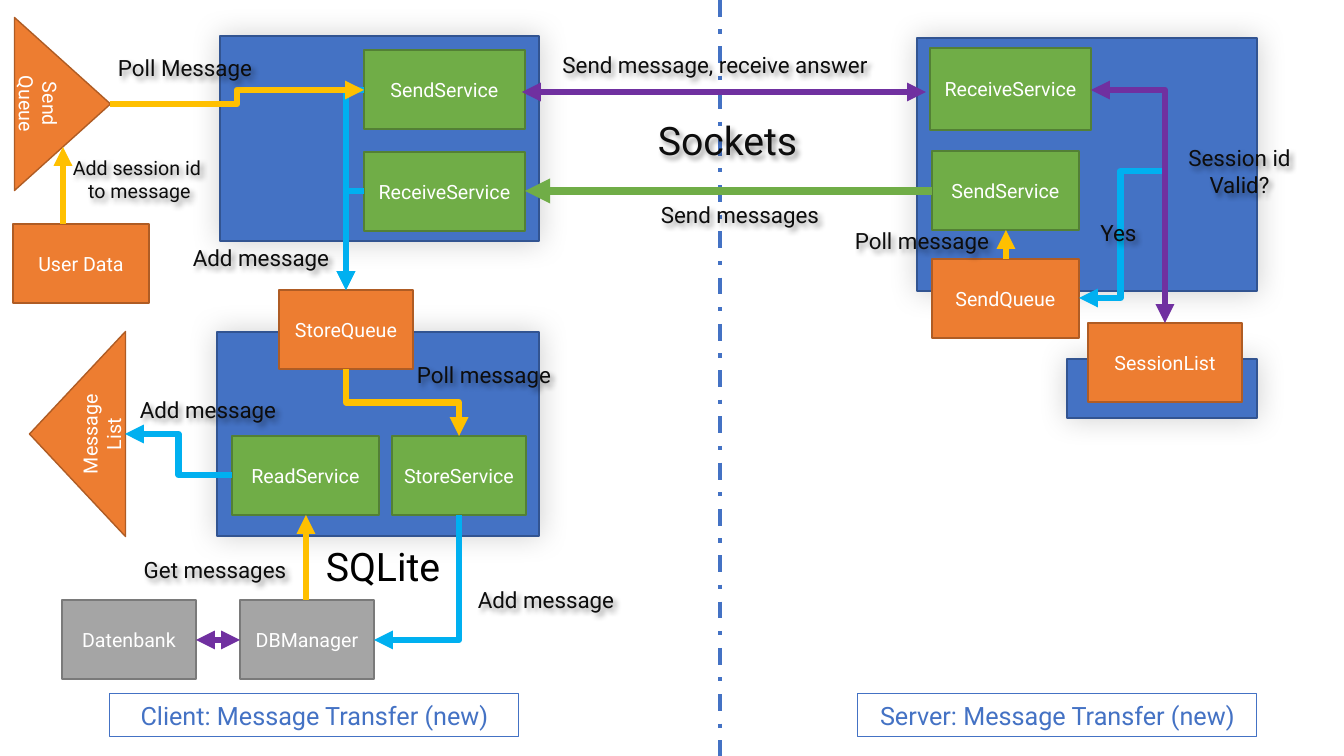
"""Build the message transfer diagram with its client and server sides."""
from lxml import etree
from pptx import Presentation
from pptx import util as u
from pptx.dml.color import RGBColor
from pptx.enum import dml, shapes, text
from pptx.oxml import parse_xml
from pptx.oxml.ns import nsdecls, qn

SCALE = 914400 / 100.8
BLUE, GREEN, ORANGE, GREY = "4472C4", "70AD47", "ED7D31", "A5A5A5"
CYAN, YELLOW, PURPLE = "00B0F0", "FFC000", "7030A0"
WHITE, BLACK, INK = "FFFFFF", "000000", "0D0D0D"
EDGES = {BLUE: "325491", GREEN: "538035", ORANGE: "AF5C24", GREY: "7A7A7A"}
RECT, TRIANGLE = shapes.MSO_SHAPE.RECTANGLE, shapes.MSO_SHAPE.ISOSCELES_TRIANGLE
hue = RGBColor.from_string


def px(*lengths):
    """Turn pixels into EMU."""
    return [u.Emu(round(length * SCALE)) for length in lengths]


def finish(shape, words, size, colour, blur=0, alpha=0, distance=0):
    """Write centred text and set the shadow."""
    frame = shape.text_frame
    for name, value in {"word_wrap": True, "vertical_anchor": text.MSO_ANCHOR.MIDDLE}.items():
        setattr(frame, name, value)
    for index, line in enumerate(words.split("\n")):
        para = frame.add_paragraph() if index else frame.paragraphs[0]
        para.alignment = text.PP_ALIGN.CENTER
        if line:
            span = para.add_run()
            span.text = line
            span.font.color.rgb = hue(colour)
            for name, value in {"name": "Roboto", "size": u.Pt(size)}.items():
                setattr(span.font, name, value)
    shape.shadow.inherit = False
    if blur:
        shape._element.spPr.find(qn("a:effectLst")).append(parse_xml(
            f'<a:outerShdw {nsdecls("a")} blurRad="{u.Pt(blur)}" dist="{u.Pt(distance)}" '
            f'dir="2700000" algn="ctr" rotWithShape="0"><a:srgbClr val="{BLACK}">'
            f'<a:alpha val="{alpha * 1000}"/></a:srgbClr></a:outerShdw>'))


deck = Presentation()
deck.slide_width, deck.slide_height = px(1344, 756)
page = deck.slides.add_slide(deck.slide_layouts[6])

divider = page.shapes.add_connector(shapes.MSO_CONNECTOR.STRAIGHT, *px(720, 0, 720, 756))
divider.line.color.rgb = hue(BLUE)
divider.line.width = u.Pt(3)
divider.line.dash_style = dml.MSO_LINE.DASH_DOT
etree.SubElement(divider._element.spPr, qn("a:effectLst"))

panels = [(917, 38, 340, 253), (220, 36, 319, 205), (217, 332, 322, 204), (1067, 359, 190, 59)]
for bounds in panels:
    panel = page.shapes.add_shape(RECT, *px(*bounds))
    panel.fill.solid()
    panel.fill.fore_color.rgb = hue(BLUE)
    panel.line.color.rgb = hue(EDGES[BLUE])
    panel.line.width = u.Pt(1)
    finish(panel, "", 14, WHITE, blur=21, alpha=18)

nodes = [
    ("SendService", GREEN, RECT, 0, (364, 50, 161, 79)),
    ("ReceiveService", GREEN, RECT, 0, (364, 152, 161, 79)),
    ("ReceiveService", GREEN, RECT, 0, (930, 48, 161, 82)),
    ("SendService", GREEN, RECT, 0, (932, 151, 147, 79)),
    ("ReadService", GREEN, RECT, 0, (232, 436, 147, 79)),
    ("StoreService", GREEN, RECT, 0, (392, 436, 134, 79)),
    ("StoreQueue", ORANGE, RECT, 0, (279, 290, 134, 79)),
    ("SendQueue", ORANGE, RECT, 0, (932, 259, 147, 79)),
    ("SessionList", ORANGE, RECT, 0, (1088, 323, 154, 79)),
    ("User Data", ORANGE, RECT, 0, (13, 224, 136, 79)),
    ("Datenbank", GREY, RECT, 0, (62, 600, 134, 79)),
    ("DBManager", GREY, RECT, 0, (240, 600, 134, 79)),
    ("Message List", ORANGE, TRIANGLE, 270, (-25, 386, 205, 96)),
    ("Send\nQueue", ORANGE, TRIANGLE, 90, (-24, 56, 173, 96)),
]
for words, fill, kind, turn, bounds in nodes:
    node = page.shapes.add_shape(kind, *px(*bounds))
    node.rotation = turn
    node.fill.solid()
    node.fill.fore_color.rgb = hue(fill)
    node.line.color.rgb = hue(EDGES[fill])
    node.line.width = u.Pt(1)
    finish(node, words, 14, WHITE)

captions = [("Client: Message Transfer (new)", 110, 409), ("Server: Message Transfer (new)", 858, 399)]
for words, left, width in captions:
    caption = page.shapes.add_shape(RECT, *px(left, 694, width, 43))
    caption.fill.background()
    caption.line.color.rgb = hue(BLUE)
    caption.line.width = u.Pt(0.75)
    finish(caption, words, 18, BLUE)

HEAD, TAIL, BOTH = ["headEnd"], ["tailEnd"], ["headEnd", "tailEnd"]
arrows = [
    ("line", GREEN, 6, TAIL, 0, (932, 191, 525, 191)),
    ("bentConnector2", CYAN, 4.5, TAIL, 0, (364, 90, 346, 290)),
    ("bentConnector2", CYAN, 4.5, TAIL, 0, (364, 191, 346, 290)),
    ("bentConnector2", CYAN, 4.5, HEAD, 0, (374, 640, 459, 515)),
    ("bentConnector3", YELLOW, 4.5, TAIL, 0, (110, 104, 364, 90)),
    ("bentConnector3", CYAN, 4.5, TAIL, 0, (232, 475, 125, 434)),
    ("bentConnector3", YELLOW, 4.5, TAIL, 270, (436, 346, 369, 459)),
    ("line", YELLOW, 4.5, TAIL, 0, (306, 600, 306, 515)),
    ("line", YELLOW, 4.5, TAIL, 0, (1006, 259, 1006, 230)),
    ("line", YELLOW, 4.5, TAIL, 0, (63, 224, 63, 147)),
    ("line", PURPLE, 4.5, BOTH, 0, (196, 640, 240, 640)),
    ("bentConnector2", PURPLE, 4.5, BOTH, 0, (1091, 90, 1165, 323)),
    ("bentConnector3", CYAN, 4.5, TAIL, 0, (1162, 171, 1079, 298)),
    ("line", PURPLE, 4.5, BOTH, 0, (522, 92, 926, 92)),
]
for preset, colour, width, ends, turn, points in arrows:
    arrow = page.shapes.add_connector(shapes.MSO_CONNECTOR.ELBOW, *px(*points))
    arrow.line.color.rgb = hue(colour)
    arrow.line.width = u.Pt(width)
    outline = arrow.line._get_or_add_ln()
    for end in ends:
        etree.SubElement(outline, qn(f"a:{end}"), type="triangle")
    properties = arrow._element.spPr
    properties.find(qn("a:prstGeom")).set("prst", preset)
    properties.find(qn("a:xfrm")).set("rot", str(turn * 60000))
    etree.SubElement(properties, qn("a:effectLst"))

labels = [
    ("Sockets", 28, INK, (622, 111, 211, 58)),
    ("SQLite", 28, BLACK, (282, 537, 202, 58)),
    ("Poll Message", 16, INK, (15, 49, 340, 37)),
    ("Poll message", 16, INK, (314, 356, 340, 37)),
    ("Poll message", 16, INK, (752, 222, 340, 37)),
    ("Get messages", 16, INK, (45, 551, 340, 37)),
    ("Add message", 16, INK, (376, 581, 340, 37)),
    ("Add message", 16, INK, (91, 239, 340, 37)),
    ("Add message", 16, INK, (38, 391, 340, 37)),
    ("Send messages", 16, INK, (570, 196, 340, 37)),
    ("Send message, receive answer", 16, INK, (545, 46, 340, 37)),
    ("Add session id\n to message", 14, INK, (-33, 150, 340, 58)),
    ("Session id\nValid?", 16, INK, (1162, 139, 155, 65)),
    ("Yes", 16, INK, (1041, 214, 155, 37)),
]
for words, size, colour, bounds in labels:
    label = page.shapes.add_textbox(*px(*bounds))
    shade = {"blur": 4, "alpha": 40, "distance": 3} if colour == INK else {}
    finish(label, words, size, colour, **shade)

deck.save("out.pptx")
